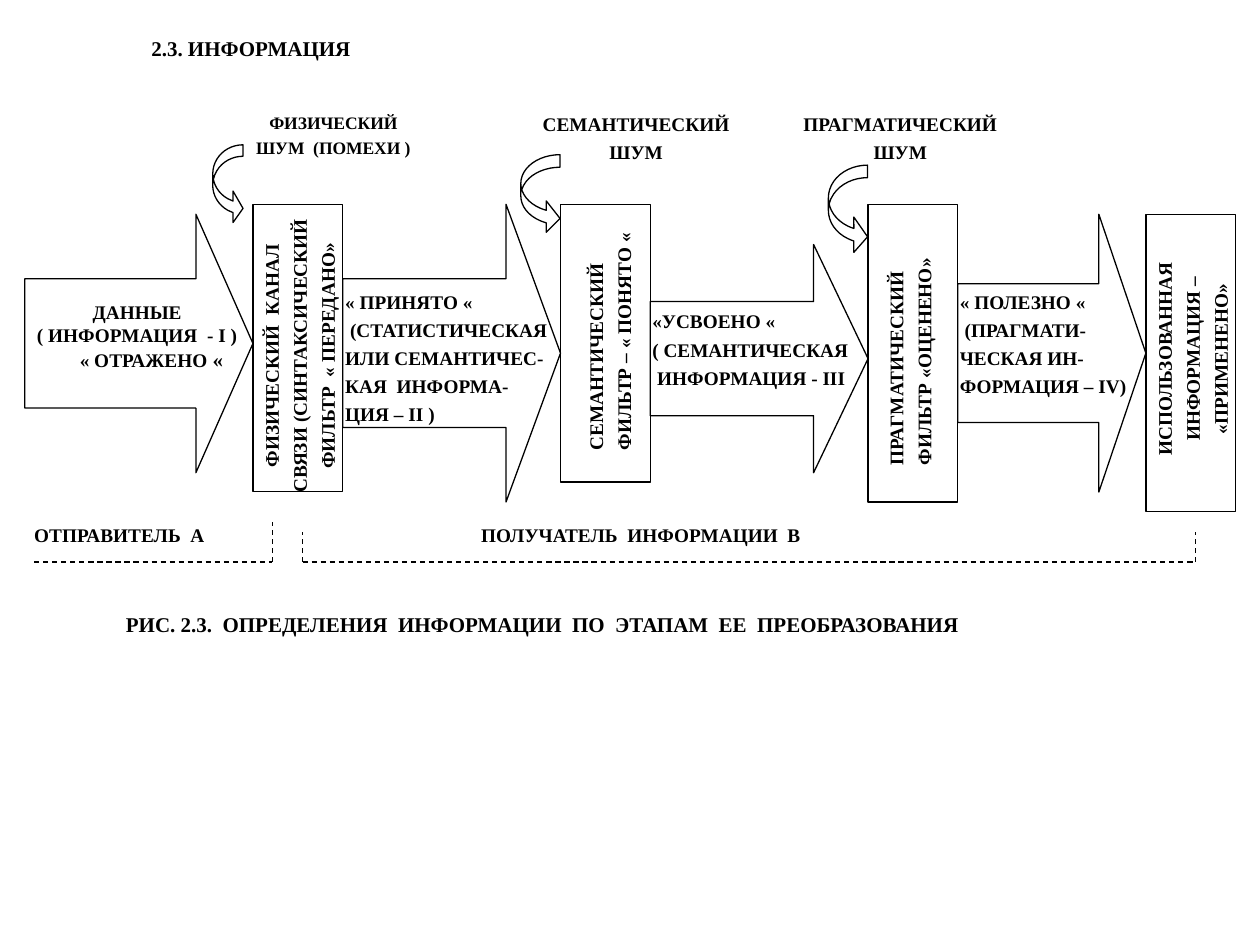
"""Build the slide on the stages of information transformation."""
import dataclasses

import lxml.etree
import pptx
import pptx.dml.color
import pptx.enum.dml
import pptx.enum.shapes
import pptx.enum.text
import pptx.oxml.ns
import pptx.util

Cm = pptx.util.Cm
Pt = pptx.util.Pt
SHAPES = pptx.enum.shapes.MSO_SHAPE
ALIGN = pptx.enum.text.PP_ALIGN


@dataclasses.dataclass(frozen=True)
class Theme:
    font: str = "Times New Roman"
    ink: pptx.dml.color.RGBColor = pptx.dml.color.RGBColor(0, 0, 0)
    small: float = 10
    normal: float = 11
    large: float = 12
    outline: float = 0.75


theme = Theme()


def write_text(shape, text, *, size=theme.normal, align=ALIGN.LEFT, before=2.8, turn=0):
    """Fill a shape with lines of text; a part after a bar is set large."""
    frame = shape.text_frame
    frame.word_wrap = False
    frame.auto_size = pptx.enum.text.MSO_AUTO_SIZE.SHAPE_TO_FIT_TEXT
    frame.vertical_anchor = pptx.enum.text.MSO_ANCHOR.TOP
    shape.rotation = turn
    for index, line in enumerate(text.split("\n")):
        paragraph = frame.paragraphs[0] if index == 0 else frame.add_paragraph()
        paragraph.alignment = align
        paragraph.space_before = Pt(before)
        for position, part in enumerate(line.split("|")):
            run = paragraph.add_run()
            run.text = part
            run.font.name = theme.font
            run.font.size = Pt(theme.large if position else size)
            run.font.bold = True
            run.font.color.rgb = theme.ink
    return frame


def add_outline(kind, left, top, width, height, adjustments=()):
    """Add an unfilled preset shape with a thin outline."""
    shape = slide.shapes.add_shape(kind, Cm(left), Cm(top), Cm(width), Cm(height))
    shape.shadow.inherit = False
    shape.fill.background()
    shape.line.color.rgb = theme.ink
    shape.line.width = Pt(theme.outline)
    for index, value in enumerate(adjustments):
        shape.adjustments[index] = value


presentation = pptx.Presentation()
presentation.slide_width = Cm(25.4)
presentation.slide_height = Cm(19.05)
slide = presentation.slides.add_slide(presentation.slide_layouts[5])

title = slide.shapes.title
title.left, title.top, title.width, title.height = Cm(2.75), Cm(0.58), Cm(4.62), Cm(0.76)
write_text(title, "2.3. ИНФОРМАЦИЯ", size=theme.large, align=ALIGN.CENTER, before=3)

filter_width = 1.81
filters = [(5.1, 4.12, 5.79), (11.3, 4.12, 5.6), (17.5, 4.12, 6), (23.1, 4.32, 6)]
for left, top, height in filters:
    add_outline(SHAPES.RECTANGLE, left, top, filter_width, height)

arrow_starts = [0.5] + [left + filter_width for left, top, height in filters[:-1]]
arrow_heights = [(4.32, 5.21), (4.12, 6), (4.93, 4.6), (4.32, 5.6)]
for start, (top, height), target in zip(arrow_starts, arrow_heights, filters):
    add_outline(SHAPES.RIGHT_ARROW, start, top, target[0] - start, height, (0.5, 0.25))

for left, top, width, height, adjustments in [
    (4.29, 2.92, 0.61, 1.6, (0.38, 1.04, 0.33)),
    (10.5, 3.12, 0.79, 1.6, (0.32, 0.8, 0.35)),
    (16.7, 3.33, 0.79, 1.8, (0.32, 0.9, 0.35)),
]:
    add_outline(SHAPES.CURVED_RIGHT_ARROW, left, top, width, height, adjustments)

bracket_level = 11.33
for start_x, start_y, end_x, end_y in [
    (0.69, bracket_level, 5.49, bracket_level),
    (5.49, bracket_level, 5.49, 10.52),
    (6.1, bracket_level, 24.1, bracket_level),
    (6.1, bracket_level, 6.1, 10.72),
    (24.1, bracket_level, 24.1, 10.72),
]:
    connector = slide.shapes.add_connector(
        pptx.enum.shapes.MSO_CONNECTOR.STRAIGHT, Cm(start_x), Cm(start_y), Cm(end_x), Cm(end_y)
    )
    connector.line.color.rgb = theme.ink
    connector.line.width = Pt(theme.outline)
    connector.line.dash_style = pptx.enum.dml.MSO_LINE.DASH
    lxml.etree.SubElement(connector._element.spPr, pptx.oxml.ns.qn("a:effectLst"))

centred = {"align": ALIGN.CENTER}
upward = {"turn": 270}
labels = [
    (4.82, 2.13, 3.8, 1.19, "ФИЗИЧЕСКИЙ\nШУМ  (ПОМЕХИ )",
     {"size": theme.small, "before": 2.5, **centred}),
    (10.69, 2.13, 4.27, 1.3, "СЕМАНТИЧЕСКИЙ\nШУМ", centred),
    (15.9, 2.13, 4.5, 1.3, "ПРАГМАТИЧЕСКИЙ\nШУМ", centred),
    (3, 6.25, 6.07, 1.85, "ФИЗИЧЕСКИЙ  КАНАЛ\nСВЯЗИ (СИНТАКСИЧЕСКИЙ\nФИЛЬТР  « ПЕРЕДАНО»",
     {**centred, **upward}),
    (9.8, 6.17, 5, 1.31, "СЕМАНТИЧЕСКИЙ\nФИЛЬТР – « ПОНЯТО «", upward),
    (16, 6.63, 4.7, 1.3, "ПРАГМАТИЧЕСКИЙ\nФИЛЬТР «ОЦЕНЕНО»", upward),
    (21.76, 6.31, 4.55, 1.85, "ИСПОЛЬЗОВАННАЯ\nИНФОРМАЦИЯ –\n«ПРИМЕНЕНО»", {**centred, **upward}),
    (6.71, 5.72, 4.7, 3,
     "« ПРИНЯТО «\n (СТАТИСТИЧЕСКАЯ\nИЛИ СЕМАНТИЧЕС-\nКАЯ  ИНФОРМА-\nЦИЯ – II )", {}),
    (12.9, 6.12, 4.7, 1.85, "«УСВОЕНО «\n( СЕМАНТИЧЕСКАЯ\n ИНФОРМАЦИЯ - III", {}),
    (19.1, 5.72, 3.96, 2.41, "« ПОЛЕЗНО «\n (ПРАГМАТИ-\nЧЕСКАЯ ИН-\nФОРМАЦИЯ – IV)", {}),
    (0.44, 10.42, 3.99, 0.74, "ОТПРАВИТЕЛЬ  А", {}),
    (9.45, 10.42, 7.01, 0.74, "ПОЛУЧАТЕЛЬ  ИНФОРМАЦИИ  В", {}),
    (2.29, 12.2, 17.42, 0.76,
     "РИС. 2.3.  ОПРЕДЕЛЕНИЯ  ИНФОРМАЦИИ  ПО  ЭТАПАМ  ЕЕ  ПРЕОБРАЗОВАНИЯ",
     {"size": theme.large, "before": 3}),
    (0.44, 5.92, 4.65, 1.7, "ДАННЫЕ\n( ИНФОРМАЦИЯ  - I )\n« ОТРАЖЕНО| «", {"before": 0, **centred}),
]
for left, top, width, height, text, text_format in labels:
    text_box = slide.shapes.add_textbox(Cm(left), Cm(top), Cm(width), Cm(height))
    text_frame = write_text(text_box, text, **text_format)

reflected_properties = text_frame.paragraphs[-1]._p.get_or_add_pPr()
reflected_properties.set("marL", str(Cm(0.58)))

presentation.save("out.pptx")
